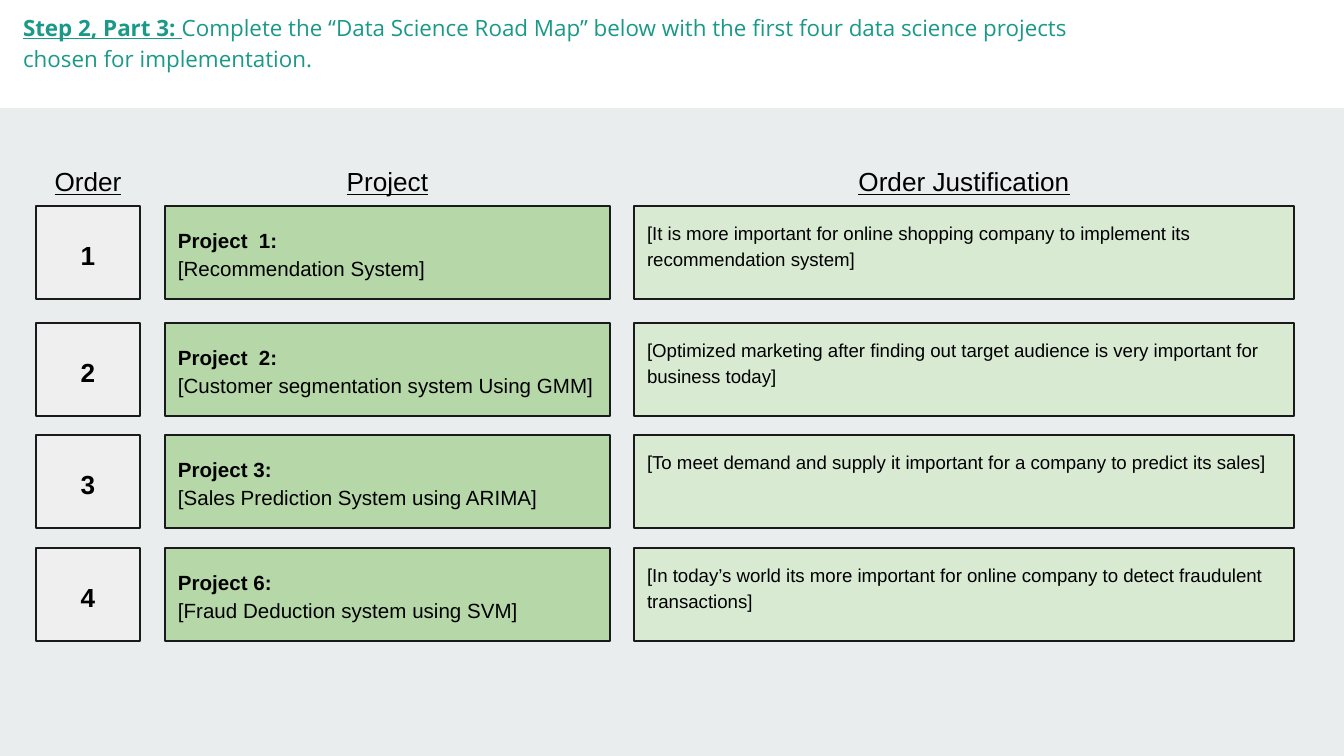
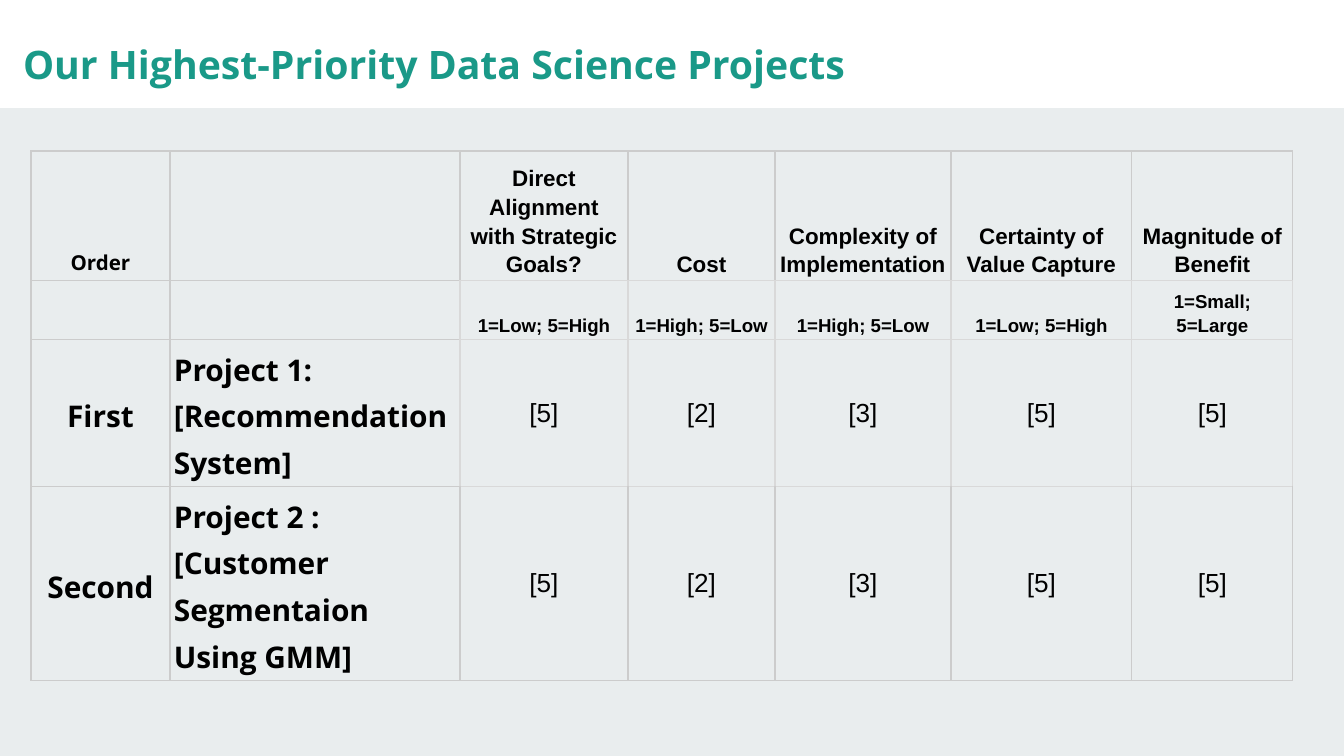
from dataclasses import dataclass
from itertools import accumulate

from lxml.etree import Element, SubElement
from pptx import Presentation
from pptx.dml.color import RGBColor
from pptx.enum.shapes import MSO_SHAPE
from pptx.enum.text import MSO_ANCHOR, PP_ALIGN
from pptx.oxml.ns import qn
from pptx.util import Pt

# Content
STEP = "Step 2, Part 3: "
TASK = ("Complete the “Data Science Road Map” below with the first four "
        "data science projects chosen for implementation.")
HEADINGS = ["Order", "Project", "Order Justification"]
ROADMAP = [
    ("1", "Project  1:", "[Recommendation System]",
     "[It is more important for online shopping company to implement its recommendation system]"),
    ("2", "Project  2:", "[Customer segmentation system Using GMM]",
     "[Optimized marketing after finding out target audience is very important for business today]"),
    ("3", "Project 3:", "[Sales Prediction System using ARIMA]",
     "[To meet demand and supply it important for a company to predict its sales]"),
    ("4", "Project 6:", "[Fraud Deduction system using SVM]",
     "[In today’s world its more important for online company to detect fraudulent transactions]"),
]

PRIORITY_TITLE = "Our Highest-Priority Data Science Projects"
PRIORITIES = [
    ["Order", "", "Direct Alignment with Strategic Goals?", "Cost",
     "Complexity of Implementation", "Certainty of Value Capture", "Magnitude of Benefit"],
    ["", "", "1=Low; 5=High", "1=High; 5=Low", "1=High; 5=Low", "1=Low; 5=High",
     "1=Small; 5=Large"],
    ["First", "Project 1:\n[Recommendation System]", "[5]", "[2]", "[3]", "[5]", "[5]"],
    ["Second", "Project 2 :\n[Customer Segmentaion Using GMM]", "[5]", "[2]", "[3]", "[5]", "[5]"],
]


@dataclass(frozen=True)
class Theme:
    page: str = "E9EDEE"
    band: str = "FFFFFF"
    title: str = "1A9988"
    ink: str = "000000"
    outline: str = "1A1A1A"
    order: str = "EFEFEF"
    project: str = "B6D7A8"
    reason: str = "D9EAD3"
    frame: str = "CCCCCC"
    grid: str = "D9D9D9"
    sans: str = "Arial"
    display: str = "Open Sans"
    title_size: int = 21
    label: int = 16
    heading: int = 14
    criterion: int = 12
    body: int = 11
    small: int = 10
    spacing: float = 1.15
    line: float = 0.75


T = Theme()

# Geometry in px
WIDTH, HEIGHT, BAND_H = 1344, 756, 108
INSET = 13
ROADMAP_COLS = [(36, 104), (165, 445), (634, 660)]  # left, width
ROADMAP_TOPS = [206, 323, 435, 548]
BOX_H, HEADING_H = 93, 50
TABLE_AT = (31, 151)
TABLE_COLS = [139, 290, 168, 147, 176, 181, 161]
TABLE_ROWS = [120, 59, 147, 194]
FIRST_SCORE_COL = 2


def px(n):
    return round(n * 914400 / 134.4)


def rgb(color):
    return RGBColor.from_string(color)


def style(font, size, name=T.sans, color=T.ink, bold=False, underline=False):
    font.size, font.name, font.bold, font.underline = Pt(size), name, bold, underline
    font.color.rgb = rgb(color)


def set_frame(tf, anchor=MSO_ANCHOR.TOP):
    tf.word_wrap = True
    tf.vertical_anchor = anchor
    tf.margin_left = tf.margin_right = tf.margin_top = tf.margin_bottom = px(INSET)


def write(tf, lines, align=PP_ALIGN.LEFT, spacing=T.spacing):
    """Fill a text frame from (text, font options) pairs, one paragraph each."""
    for i, (text, options) in enumerate(lines):
        p = tf.add_paragraph() if i else tf.paragraphs[0]
        p.text, p.alignment, p.line_spacing = text, align, spacing
        style(p.font, **options)


def add_box(s, x, y, w, h, fill, outline=None):
    sp = s.shapes.add_shape(MSO_SHAPE.RECTANGLE, px(x), px(y), px(w), px(h))
    sp.shadow.inherit = False
    sp.fill.solid()
    sp.fill.fore_color.rgb = rgb(fill)
    if outline:
        sp.line.color.rgb = rgb(outline)
        sp.line.width = Pt(T.line)
    else:
        sp.line.fill.background()
    return sp


def add_text(s, x, y, w, h, anchor=MSO_ANCHOR.TOP):
    tf = s.shapes.add_textbox(px(x), px(y), px(w), px(h)).text_frame
    set_frame(tf, anchor)
    return tf


def add_slide(prs, title_top):
    """Add a slide with the white band; return it with its title frame."""
    s = prs.slides.add_slide(prs.slide_layouts[6])
    add_box(s, 0, 0, WIDTH, BAND_H, T.band)
    return s, add_text(s, 10, title_top, 1134, 50)


def build_roadmap(prs):
    s, tf = add_slide(prs, -3)
    p = tf.paragraphs[0]
    p.line_spacing = T.spacing
    for text, strong in ((STEP, True), (TASK, False)):
        r = p.add_run()
        r.text = text
        style(r.font, T.criterion, T.display, T.title, strong, strong)

    # Column headings
    for text, (x, w) in zip(HEADINGS, ROADMAP_COLS):
        tf = add_text(s, x, ROADMAP_TOPS[0] - HEADING_H, w, HEADING_H, MSO_ANCHOR.MIDDLE)
        write(tf, [(text, dict(size=T.heading, underline=True))], PP_ALIGN.CENTER, None)

    # One row of three boxes per project
    for y, (order, name, project, reason) in zip(ROADMAP_TOPS, ROADMAP):
        boxes = [
            (T.order, MSO_ANCHOR.MIDDLE, PP_ALIGN.CENTER,
             [(order, dict(size=T.heading, bold=True))]),
            (T.project, MSO_ANCHOR.MIDDLE, PP_ALIGN.LEFT,
             [(name, dict(size=T.body, bold=True)), (project, dict(size=T.body))]),
            (T.reason, MSO_ANCHOR.TOP, PP_ALIGN.LEFT, [(reason, dict(size=T.small))]),
        ]
        for (x, w), (fill, anchor, align, lines) in zip(ROADMAP_COLS, boxes):
            tf = add_box(s, x, y, w, BOX_H, fill, T.outline).text_frame
            set_frame(tf, anchor)
            write(tf, lines, align)


def set_borders(cell, colors):
    """Draw the cell's edges; colors maps L, R, T and B to a colour."""
    tcPr = cell._tc.get_or_add_tcPr()
    for i, (side, color) in enumerate(colors.items()):
        ln = Element(qn(f"a:ln{side}"), w=str(Pt(T.line)))
        SubElement(SubElement(ln, qn("a:solidFill")), qn("a:srgbClr"), val=color)
        tcPr.insert(i, ln)


def edge_colors(row, col):
    """Edges inside the score area are lighter than the table's frame."""
    score = col >= FIRST_SCORE_COL
    last = len(TABLE_ROWS) - 1
    inner = 0 < row < last

    def pick(light):
        return T.grid if light else T.frame

    return {"L": pick(inner and score),
            "R": pick(inner and col + 1 >= FIRST_SCORE_COL),
            "T": pick(score and row > 0),
            "B": pick(score and row < last)}


def cell_font(row, col):
    if col < FIRST_SCORE_COL:
        return dict(size=T.label if row > 1 else T.body, name=T.display, bold=True)
    return dict(size=(T.criterion, T.small, T.heading, T.heading)[row], bold=row < 2)


def build_priorities(prs):
    s, tf = add_slide(prs, 20)
    write(tf, [(PRIORITY_TITLE, dict(size=T.title_size, name=T.display,
                                     color=T.title, bold=True))])

    # Table grid
    x, y = TABLE_AT
    tbl = s.shapes.add_table(len(TABLE_ROWS), len(TABLE_COLS), px(x), px(y),
                             px(sum(TABLE_COLS)), px(sum(TABLE_ROWS))).table
    tbl.first_row = tbl.horz_banding = False
    for sizes, parts, attr in ((TABLE_COLS, tbl.columns, "width"),
                               (TABLE_ROWS, tbl.rows, "height")):
        ends = [px(n) for n in accumulate(sizes, initial=0)]
        for part, start, end in zip(parts, ends, ends[1:]):
            setattr(part, attr, end - start)

    # Cells
    for row, texts in enumerate(PRIORITIES):
        for col, text in enumerate(texts):
            cell = tbl.cell(row, col)
            header, score = row < 2, col >= FIRST_SCORE_COL
            cell.fill.background()
            cell.margin_left = cell.margin_right = px(4)
            cell.margin_top = cell.margin_bottom = px(3 if header and score else 4)
            cell.vertical_anchor = MSO_ANCHOR.BOTTOM if header else MSO_ANCHOR.MIDDLE
            font = cell_font(row, col)
            write(cell.text_frame, [(line, font) for line in text.split("\n")],
                  PP_ALIGN.LEFT if col == 1 else PP_ALIGN.CENTER,
                  None if score and not header else T.spacing)
            set_borders(cell, edge_colors(row, col))


def main():
    prs = Presentation()
    prs.slide_width, prs.slide_height = px(WIDTH), px(HEIGHT)
    fill = prs.slide_master.background.fill
    fill.solid()
    fill.fore_color.rgb = rgb(T.page)
    build_roadmap(prs)
    build_priorities(prs)
    prs.save("out.pptx")


if __name__ == "__main__":
    main()
